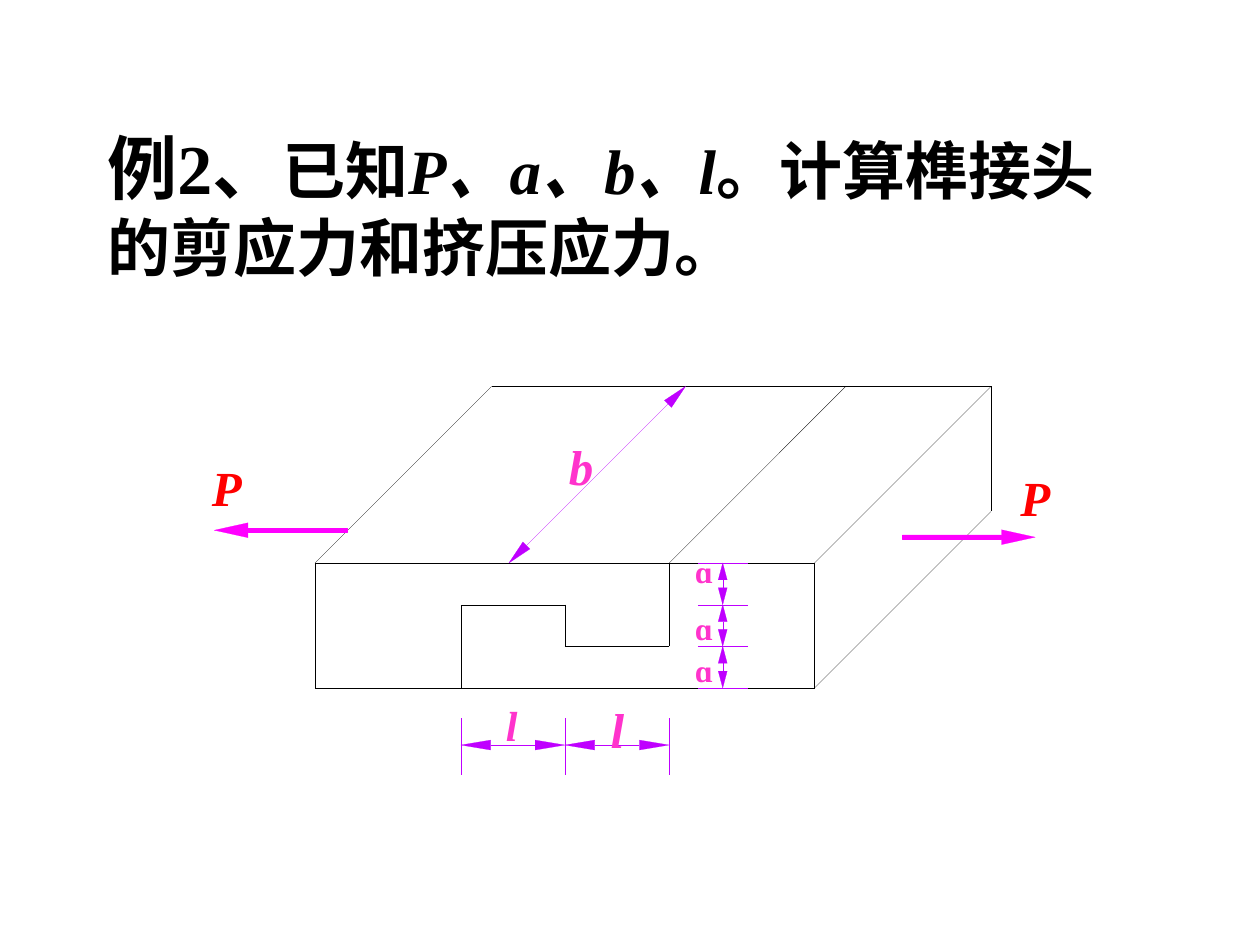
from dataclasses import dataclass
from itertools import pairwise
from math import hypot

from lxml.etree import SubElement
from pptx import Presentation
from pptx.dml.color import RGBColor
from pptx.enum.shapes import MSO_CONNECTOR, MSO_SHAPE
from pptx.enum.text import MSO_ANCHOR, MSO_AUTO_SIZE, PP_ALIGN
from pptx.oxml.ns import qn
from pptx.util import Cm, Pt


@dataclass(frozen=True)
class Theme:
    font: str = "Times New Roman"
    ink: str = "000000"
    force: str = "FF00FF"
    force_label: str = "FF0000"
    dim: str = "BF00FF"
    dim_label: str = "FF33CC"
    title: int = 40
    body: int = 36
    large: int = 28
    medium: int = 24
    small: int = 18
    hairline: float = 0.1


def add_run(p, text, theme, size, color, italic=False):
    r = p.add_run()
    r.text = text
    f = r.font
    f.name, f.size, f.bold, f.italic = theme.font, Pt(size), True, italic
    f.color.rgb = RGBColor.from_string(color)


class Drawing:
    """Draws on one slide; all coordinates are in centimetres."""

    def __init__(self, slide, theme):
        self.s, self.theme = slide, theme

    def title(self, box, parts):
        sp = self.s.shapes.title
        sp.left, sp.top, sp.width, sp.height = map(Cm, box)
        tf = sp.text_frame
        tf.word_wrap, tf.auto_size = True, MSO_AUTO_SIZE.NONE
        tf.vertical_anchor = MSO_ANCHOR.MIDDLE
        p = tf.paragraphs[0]
        p.alignment = PP_ALIGN.LEFT
        for text, size, italic in parts:
            add_run(p, text, self.theme, size, self.theme.ink, italic)

    def label(self, box, lines, size, color, italic=True):
        tf = self.s.shapes.add_textbox(*map(Cm, box)).text_frame
        tf.word_wrap = True
        for i, text in enumerate(lines):
            p = tf.add_paragraph() if i else tf.paragraphs[0]
            if i:
                p.space_before = Pt(size * 0.62)
            add_run(p, text, self.theme, size, color, italic)

    def outline(self, sp, color):
        sp.line.color.rgb = RGBColor.from_string(color)
        sp.line.width = Pt(self.theme.hairline)

    def line(self, start, end, color):
        ln = self.s.shapes.add_connector(
            MSO_CONNECTOR.STRAIGHT, *map(Cm, (*start, *end)))
        self.outline(ln, color)
        SubElement(ln._element.spPr, qn("a:effectLst"))

    def polyline(self, points, color):
        for start, end in pairwise(points):
            self.line(start, end, color)

    def paint(self, sp, color):
        sp.shadow.inherit = False
        sp.fill.solid()
        sp.fill.fore_color.rgb = RGBColor.from_string(color)
        self.outline(sp, color)

    def head(self, tip, toward, length, width, color):
        """Fill an arrowhead at tip whose base lies toward a point; return the base centre."""
        dx, dy = toward[0] - tip[0], toward[1] - tip[1]
        d = hypot(dx, dy)
        ux, uy = dx / d, dy / d
        x, y = tip[0] + ux * length, tip[1] + uy * length
        h = width / 2
        corners = [(x - uy * h, y + ux * h), (x + uy * h, y - ux * h)]
        fb = self.s.shapes.build_freeform(Cm(tip[0]), Cm(tip[1]))
        fb.add_line_segments([(Cm(cx), Cm(cy)) for cx, cy in corners])
        self.paint(fb.convert_to_shape(), color)
        return x, y

    def dimension(self, start, end, length, width):
        color = self.theme.dim
        base_a = self.head(start, end, length, width, color)
        base_b = self.head(end, start, length, width, color)
        self.line(base_a, base_b, color)

    def force(self, tail_x, tip_x, y):
        color, bar = self.theme.force, 0.09
        base_x, _ = self.head((tip_x, y), (tail_x, y), 0.68, 0.3, color)
        left, width = min(tail_x, base_x), abs(base_x - tail_x)
        sp = self.s.shapes.add_shape(
            MSO_SHAPE.RECTANGLE, *map(Cm, (left, y - bar / 2, width, bar)))
        self.paint(sp, color)


def main():
    prs = Presentation()
    prs.slide_width, prs.slide_height = Cm(25.4), Cm(19.05)
    theme = Theme()
    d = Drawing(prs.slides.add_slide(prs.slide_layouts[5]), theme)

    d.title((1.91, 1.68, 21.6, 4.87), [
        ("例2、", theme.title, False),
        ("已知", theme.body, False),
        ("P、a、b、l", theme.body, True),
        ("。计算榫接头的剪应力和挤压应力。", theme.body, False),
    ])

    # Block: front face, depth offset, and the step levels of the joint
    left, right, depth = 6.35, 16.42, 3.56
    x1, x2, x3 = (9.29 + 2.1 * i for i in range(3))
    levels = [11.35 + 0.84 * i for i in range(4)]
    top, upper, lower, bottom = levels
    back = top - depth

    d.polyline([(left, top), (right, top), (right, bottom),
                (left, bottom), (left, top)], theme.ink)
    d.polyline([(left, top), (left + depth, back), (right + depth, back),
                (right + depth, bottom - depth), (right, bottom)], theme.ink)
    for x in (x3, right):
        d.line((x, top), (x + depth, back), theme.ink)
    d.polyline([(x1, bottom), (x1, upper), (x2, upper), (x2, lower),
                (x3, lower), (x3, top)], theme.ink)

    # Dimensions
    d.dimension((10.26, top), (10.26 + depth, back), 0.5, 0.2)
    for y in levels:
        d.line((14.07, y), (15.07, y), theme.dim)
    for y, next_y in pairwise(levels):
        d.dimension((14.57, y), (14.57, next_y), 0.34, 0.18)
    for x in (x1, x2, x3):
        d.line((x, 14.48), (x, 15.63), theme.dim)
    for x, next_x in pairwise((x1, x2, x3)):
        d.dimension((x, 15.02), (next_x, 15.02), 0.6, 0.2)

    d.force(7, 4.32, 10.69)
    d.force(18.19, 20.87, 10.83)

    for box in ((4.02, 9.1, 1.9, 1.45), (20.32, 9.31, 2.33, 1.45)):
        d.label(box, ["P"], theme.large, theme.force_label)
    d.label((11.22, 8.68, 1.7, 1.45), ["b"], theme.large, theme.dim_label)
    d.label((13.76, 11, 1.7, 3.35), ["ɑ", "ɑ"], theme.small, theme.dim_label, italic=False)
    d.label((13.76, 13, 1.48, 1.02), ["ɑ"], theme.small, theme.dim_label, italic=False)
    d.label((9.95, 13.97, 1.06, 1.27), ["l"], theme.medium, theme.dim_label)
    d.label((12.06, 13.97, 1.27, 1.45), ["l"], theme.large, theme.dim_label)

    prs.save("out.pptx")


if __name__ == "__main__":
    main()
